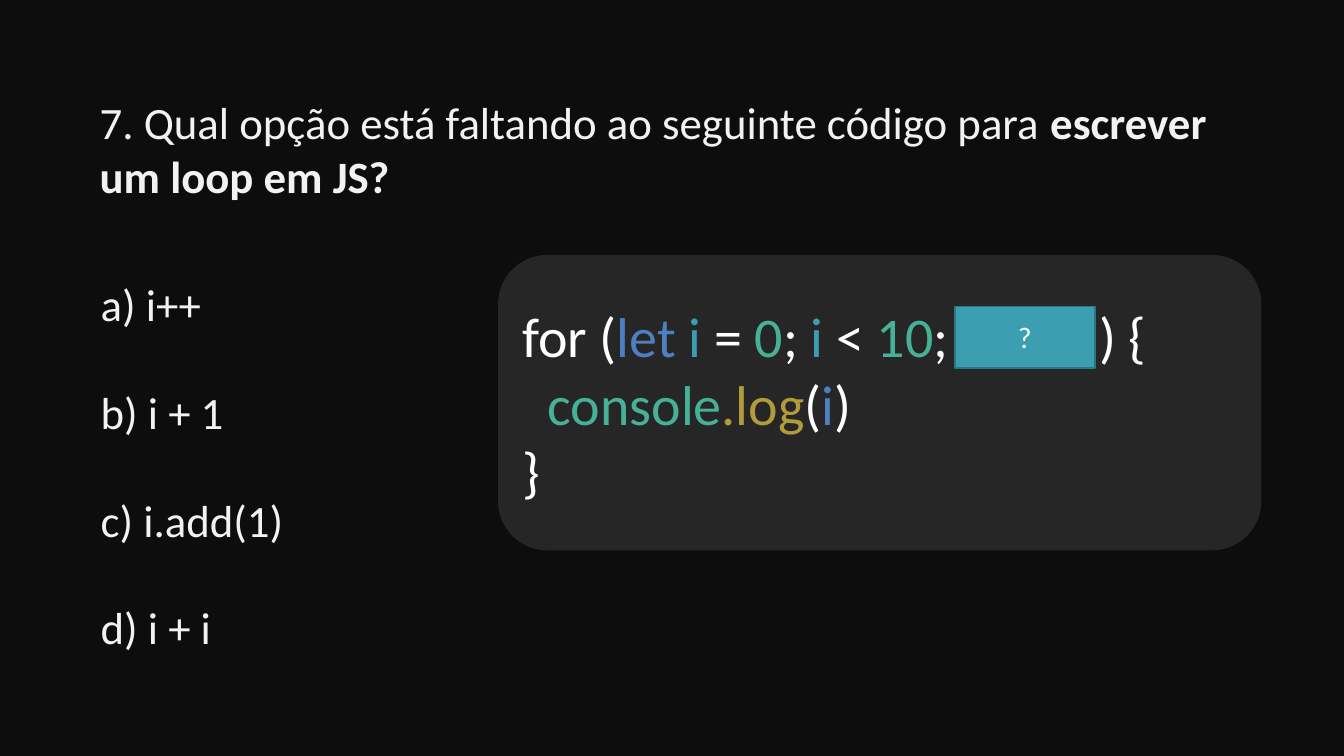
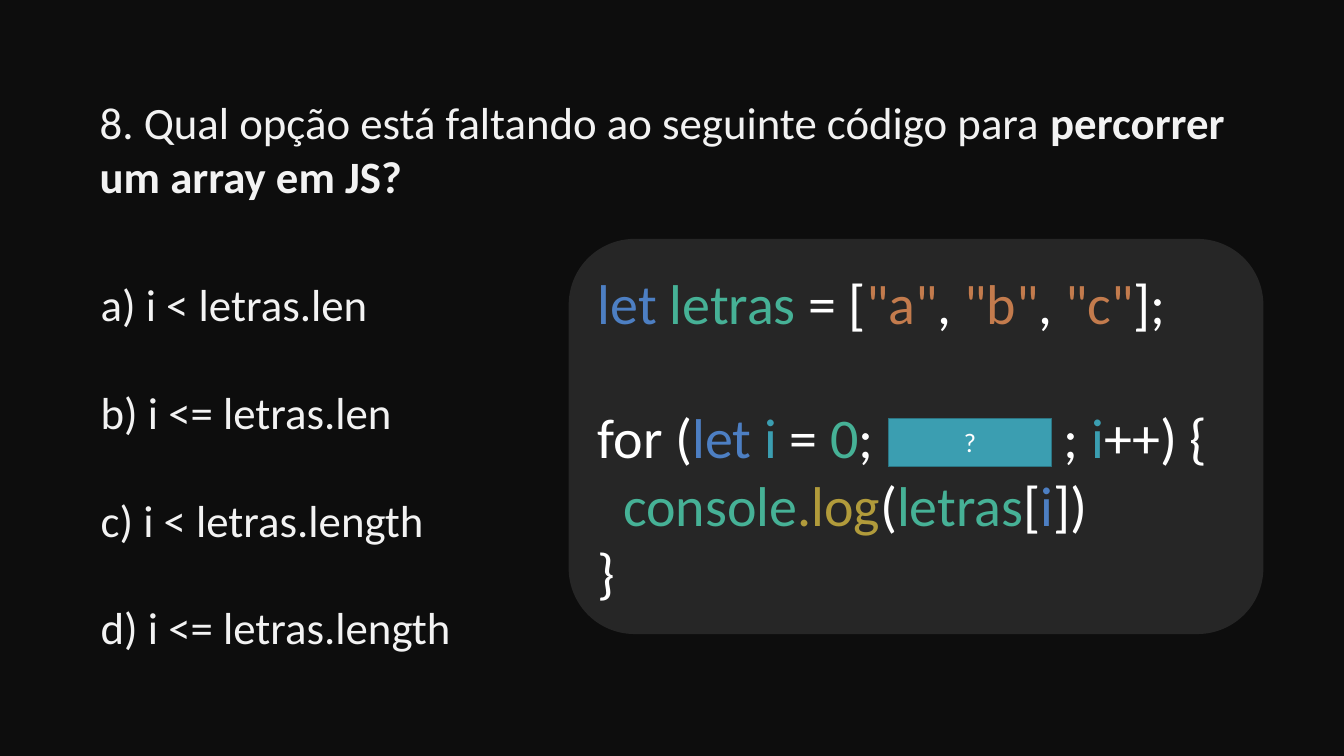
import pptx
import pptx.dml.color
import pptx.enum.shapes
import pptx.enum.text
import pptx.oxml.ns
import pptx.util
from lxml import etree
from pptx.util import Inches

COLORS = {
    "background": "0D0D0D",
    "panel": "262626",
    "text": "F2F2F2",
    "plain": "FFFFFF",
    "keyword": "4D7FC3",
    "variable": "3B9EB1",
    "value": "46B196",
    "method": "B19B3B",
    "string": "C37B4D",
    "blank": "3B9EB1",
    "blank_line": "2C7583",
}


def color(name):
    return pptx.dml.color.RGBColor.from_string(COLORS[name])


class QuizDeck:
    """Holds the quiz style and the current slide."""

    text_font = "Calibri"
    blank_font = "Lato"
    text_size = 32
    code_size = 40
    option_gap = 38.5
    code_gap = 48
    code_indent = 0.25

    def __init__(self):
        self.presentation = pptx.Presentation()
        self.presentation.slide_width = Inches(13.33)
        self.presentation.slide_height = Inches(7.5)
        self.slide = None

    def add_slide(self):
        layout = self.presentation.slide_layouts[6]
        self.slide = self.presentation.slides.add_slide(layout)
        fill = self.slide.background.fill
        fill.solid()
        fill.fore_color.rgb = color("background")

    def format_run(self, run, size, color_name, font=text_font, bold=False):
        run.font.name = font
        run.font.size = pptx.util.Pt(size)
        run.font.bold = bold
        run.font.color.rgb = color(color_name)

    def add_text_box(self, left, top, width, height):
        box = self.slide.shapes.add_textbox(*map(Inches, (left, top, width, height)))
        box.text_frame.word_wrap = True
        box.text_frame.auto_size = pptx.enum.text.MSO_AUTO_SIZE.SHAPE_TO_FIT_TEXT
        return box.text_frame

    def add_box(self, kind, place, fill_name):
        shape = self.slide.shapes.add_shape(kind, *map(Inches, place))
        shape.shadow.inherit = False
        shape.fill.solid()
        shape.fill.fore_color.rgb = color(fill_name)
        shape.line.fill.background()
        shape.text_frame.word_wrap = True
        shape.text_frame.vertical_anchor = pptx.enum.text.MSO_ANCHOR.MIDDLE
        return shape

    def add_question(self, text, emphasis):
        paragraph = self.add_text_box(0.89, 0.89, 11.59, 1.18).paragraphs[0]
        for part, bold in ((text, False), (emphasis, True)):
            run = paragraph.add_run()
            run.text = part
            self.format_run(run, self.text_size, "text", bold=bold)

    def add_options(self, options):
        text_frame = self.add_text_box(0.9, 2.7, 10.38, 3.87)
        text_frame.text = "\n".join(
            f"{letter}) {option}" for letter, option in zip("abcd", options))
        for index, paragraph in enumerate(text_frame.paragraphs):
            if index:
                paragraph.space_before = pptx.util.Pt(self.option_gap)
            self.format_run(paragraph.runs[0], self.text_size, "text")

    def add_code(self, place, blocks, tab):
        """Each block is a list of lines, each line a list of (text, color)."""
        shape = self.add_box(
            pptx.enum.shapes.MSO_SHAPE.ROUNDED_RECTANGLE, place, "panel")
        paragraph = None
        for block in blocks:
            for index, line in enumerate(block):
                starts_block = paragraph is not None and index == 0
                paragraph = (shape.text_frame.paragraphs[0] if paragraph is None
                             else shape.text_frame.add_paragraph())
                paragraph.alignment = pptx.enum.text.PP_ALIGN.LEFT
                if starts_block:
                    paragraph.space_before = pptx.util.Pt(self.code_gap)
                if line[0][0] == "console":
                    self.indent(paragraph)
                for text, color_name in line:
                    if "\t" in text:
                        self.add_tab_stop(paragraph, tab)
                    run = paragraph.add_run()
                    run.text = text
                    self.format_run(run, self.code_size, color_name)

    def indent(self, paragraph):
        properties = paragraph._p.get_or_add_pPr()
        properties.set("marL", str(Inches(self.code_indent)))
        properties.set("indent", "0")

    def add_tab_stop(self, paragraph, position):
        properties = paragraph._p.get_or_add_pPr()
        tab_list = etree.SubElement(properties, pptx.oxml.ns.qn("a:tabLst"))
        etree.SubElement(tab_list, pptx.oxml.ns.qn("a:tab"),
                         pos=str(Inches(position)), algn="l")

    def add_blank(self, place, size):
        shape = self.add_box(pptx.enum.shapes.MSO_SHAPE.RECTANGLE, place, "blank")
        shape.line.color.rgb = color("blank_line")
        shape.line.width = pptx.util.Pt(1)
        shape.text_frame.text = "?"
        paragraph = shape.text_frame.paragraphs[0]
        paragraph.alignment = pptx.enum.text.PP_ALIGN.CENTER
        self.format_run(paragraph.runs[0], size, "plain", self.blank_font)


# Code shared by both questions
LOOP_START = [("for (", "plain"), ("let ", "keyword"), ("i", "variable"),
              (" = ", "plain"), ("0", "value")]
LOG_CALL = [("console", "value"), (".log", "method"), ("(", "plain")]
LOOP_END = [("}", "plain")]
QUESTION = "{}. Qual opção está faltando ao seguinte código para "


def main():
    deck = QuizDeck()

    # Question 7: loop
    deck.add_slide()
    deck.add_question(QUESTION.format(7), "escrever um loop em JS?")
    deck.add_options(["i++", "i + 1", "i.add(1)", "i + i"])
    loop = [
        LOOP_START + [("; ", "plain"), ("i", "variable"), (" < ", "plain"),
                      ("10", "value"), (";\t) {", "plain")],
        LOG_CALL + [("i", "keyword"), (")", "plain")],
        LOOP_END,
    ]
    deck.add_code((4.94, 2.53, 7.57, 2.93), [loop], tab=5.72)
    deck.add_blank((9.47, 3.04, 1.39, 0.61), 20)

    # Question 8: array
    deck.add_slide()
    deck.add_question(QUESTION.format(8), "percorrer um array em JS?")
    deck.add_options(["i < letras.len", "i <= letras.len",
                      "i < letras.length", "i <= letras.length"])
    array = [
        [("let ", "keyword"), ("letras ", "value"), ("= [", "plain"),
         ('"a"', "string"), (", ", "plain"), ('"b"', "string"),
         (", ", "plain"), ('"c"', "string"), ("];", "plain")],
    ]
    array_loop = [
        LOOP_START + [(";\t; ", "plain"), ("i", "variable"), ("++) {", "plain")],
        LOG_CALL + [("letras", "value"), ("[", "plain"), ("i", "keyword"),
                    ("])", "plain")],
        LOOP_END,
    ]
    deck.add_code((5.64, 2.37, 6.89, 3.92), [array, array_loop], tab=4.62)
    deck.add_blank((8.81, 4.15, 1.62, 0.48), 18)

    deck.presentation.save("out.pptx")


if __name__ == "__main__":
    main()
